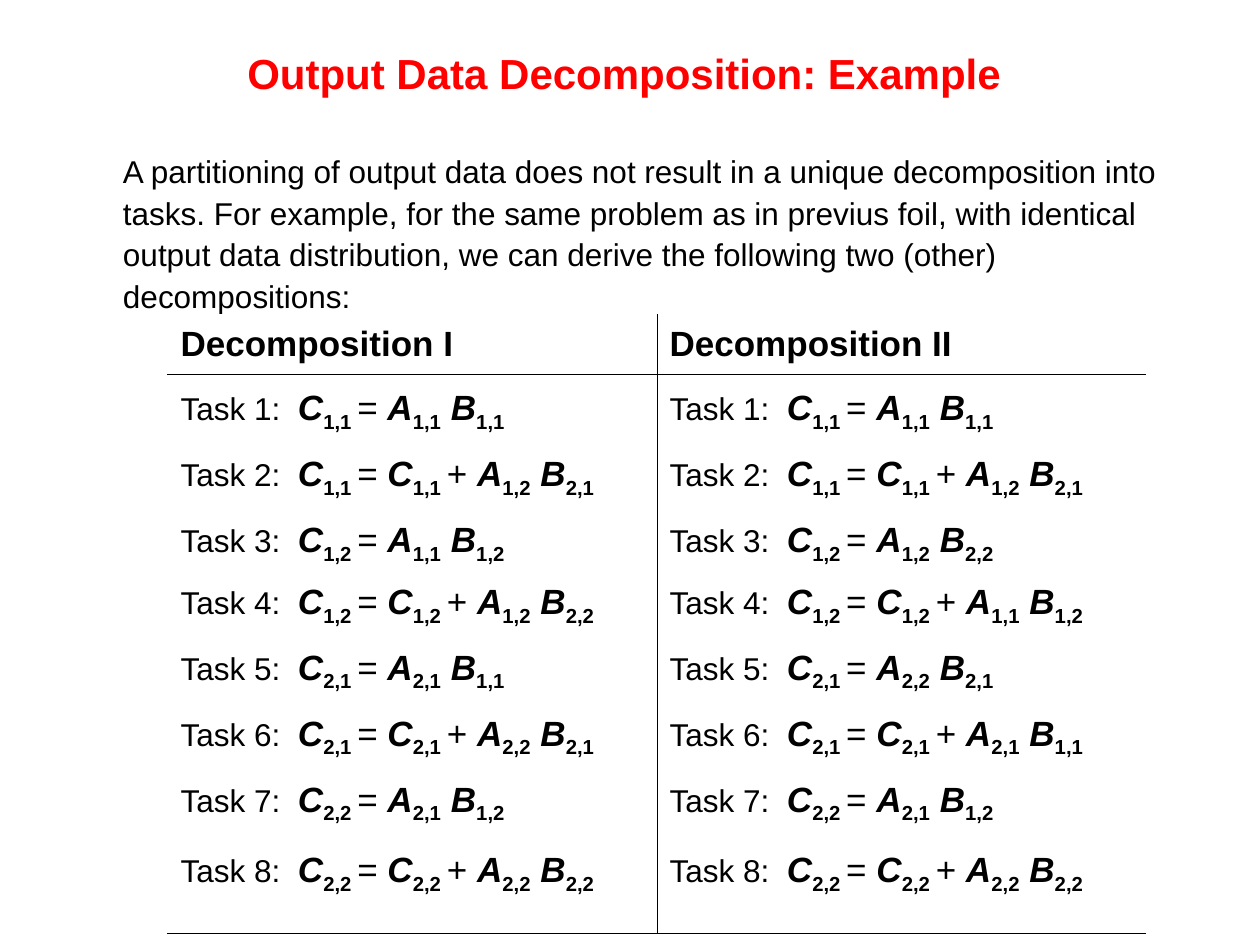
from pptx import Presentation
from pptx.dml.color import RGBColor
from pptx.enum.text import MSO_ANCHOR as Anchor, PP_ALIGN as Align
from pptx.oxml import parse_xml
from pptx.oxml.ns import nsdecls
from pptx.util import Pt

SCALE = 914400 // 126
FONT, BLACK, RED = "Arial", "000000", "FF0000"
TITLE = "Output Data Decomposition: Example "
INTRO = (
    "A partitioning of output data does not result in a unique decomposition "
    "into tasks. For example, for the same problem as in previus foil, with "
    "identical output data distribution, we can derive the following two "
    "(other) decompositions:"
)
PLANS = {
    "Decomposition I": [
        "C1,1 = A1,1 B1,1",
        "C1,1 = C1,1 + A1,2 B2,1",
        "C1,2 = A1,1 B1,2",
        "C1,2 = C1,2 + A1,2 B2,2",
        "C2,1 = A2,1 B1,1",
        "C2,1 = C2,1 + A2,2 B2,1",
        "C2,2 = A2,1 B1,2",
        "C2,2 = C2,2 + A2,2 B2,2",
    ],
    "Decomposition II": [
        "C1,1 = A1,1 B1,1",
        "C1,1 = C1,1 + A1,2 B2,1",
        "C1,2 = A1,2 B2,2",
        "C1,2 = C1,2 + A1,1 B1,2",
        "C2,1 = A2,2 B2,1",
        "C2,1 = C2,1 + A2,1 B1,1",
        "C2,2 = A2,1 B1,2",
        "C2,2 = C2,2 + A2,2 B2,2",
    ],
}
LEADS = [1.2, 1.3, 1.3, 1.2, 1.3, 1.3, 1.3, 1.4]
COLS, ROWS = [489, 488], [59, 559]
THIN, THICK = 0.45, 1.08


def px(*nums):
    return [n * SCALE for n in nums]


def style(font, size, color=BLACK, bold=False):
    font.name, font.size, font.bold = FONT, Pt(size), bold
    font.color.rgb = RGBColor.from_string(color)


def space(para, lead, before):
    para.line_spacing, para.space_before = lead, Pt(before)


def add_run(para, text, size=20, bold=True, slant=False, sub=False):
    run = para.add_run()
    run.text = text
    style(run.font, size, bold=bold)
    run.font.italic = slant
    if sub:
        run._r.get_or_add_rPr().set("baseline", "-25000")


def add_task(para, num, rule):
    add_run(para, f"Task {num}:  ", 18, False)
    terms = rule.split()
    for term, after in zip(terms, terms[1:] + [""]):
        if term in "=+":
            add_run(para, term + " ", bold=False)
            continue
        name, index = term[0], term[1:]
        add_run(para, " B" if name == "B" else name, slant=True)
        add_run(para, index + (" " if after in ("=", "+") else ""), sub=True)


def edge(cell, side, width):
    cell._tc.get_or_add_tcPr().append(parse_xml(
        f'<a:ln{side} {nsdecls("a")} w="{Pt(width)}"><a:solidFill>'
        f'<a:srgbClr val="{BLACK}"/></a:solidFill></a:ln{side}>'))


deck = Presentation()
deck.slide_width, deck.slide_height = px(1260, 945)
slide = deck.slides.add_slide(deck.slide_layouts[5])

title = slide.shapes.title
title.left, title.top, title.width, title.height = px(63, 10, 1134, 126)
title.text_frame.text = TITLE
title.text_frame.vertical_anchor = Anchor.MIDDLE
head = title.text_frame.paragraphs[0]
head.alignment = Align.CENTER
style(head.font, 24, RED, True)

intro = slide.shapes.add_textbox(*px(63, 142, 1134, 183)).text_frame
intro.word_wrap = True
intro.margin_left = px(60)[0]
intro.text = INTRO
lines = intro.paragraphs[0]
space(lines, 1.1, 4.5)
style(lines.font, 18)

table = slide.shapes.add_table(
    len(ROWS), len(COLS), *px(168, 315, sum(COLS), sum(ROWS))).table
table.first_row = table.horz_banding = False
for col, wide in zip(table.columns, px(*COLS)):
    col.width = wide
for row, tall in zip(table.rows, px(*ROWS)):
    row.height = tall

for c, (name, rules) in enumerate(PLANS.items()):
    top, main = table.cell(0, c), table.cell(1, c)
    top.text = name
    label = top.text_frame.paragraphs[0]
    space(label, 1.1, 5)
    style(label.font, 20, bold=True)
    frame = main.text_frame
    for num, (rule, lead) in enumerate(zip(rules, LEADS), 1):
        para = frame.paragraphs[0] if num == 1 else frame.add_paragraph()
        space(para, lead, 4.5)
        add_task(para, num, rule)
    for cell in (top, main):
        edge(cell, "L" if c else "R", THIN)
        if cell is main:
            edge(cell, "T", THIN)
        edge(cell, "B", THICK if cell is main else THIN)
        cell.fill.background()

deck.save("out.pptx")
